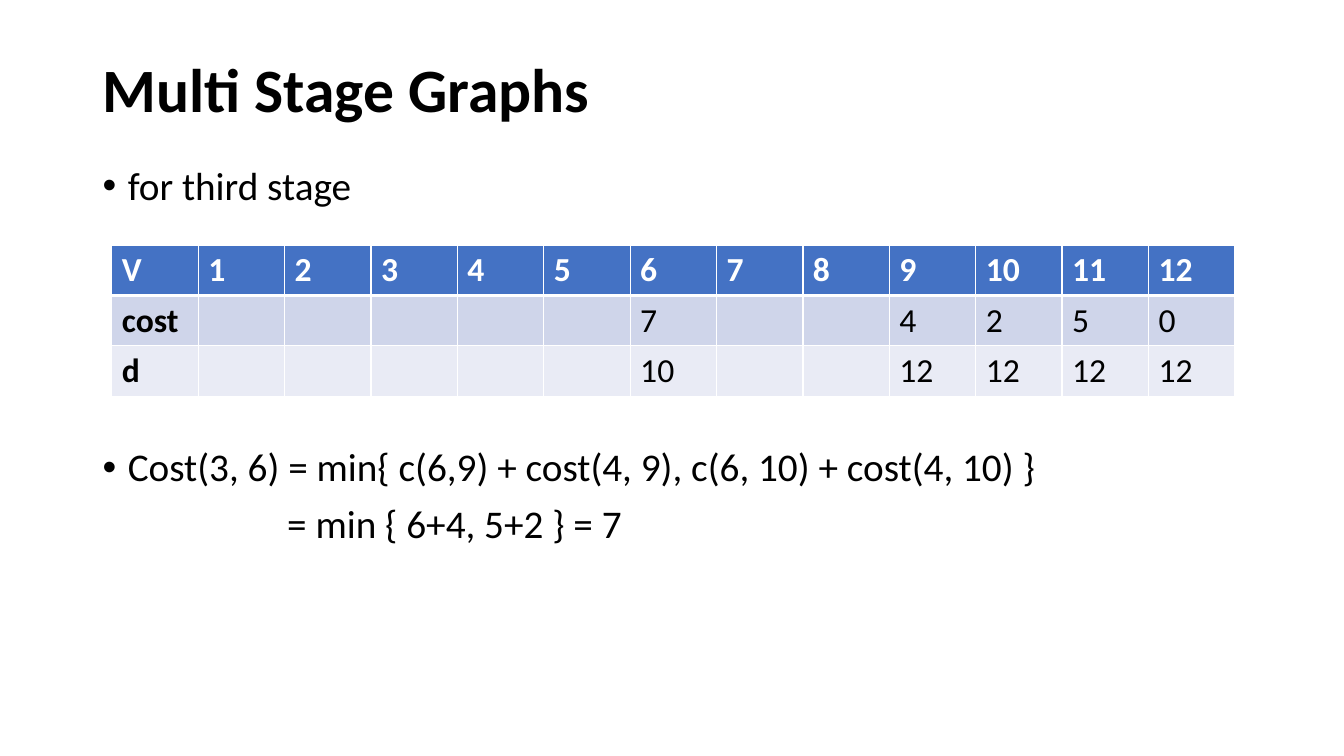
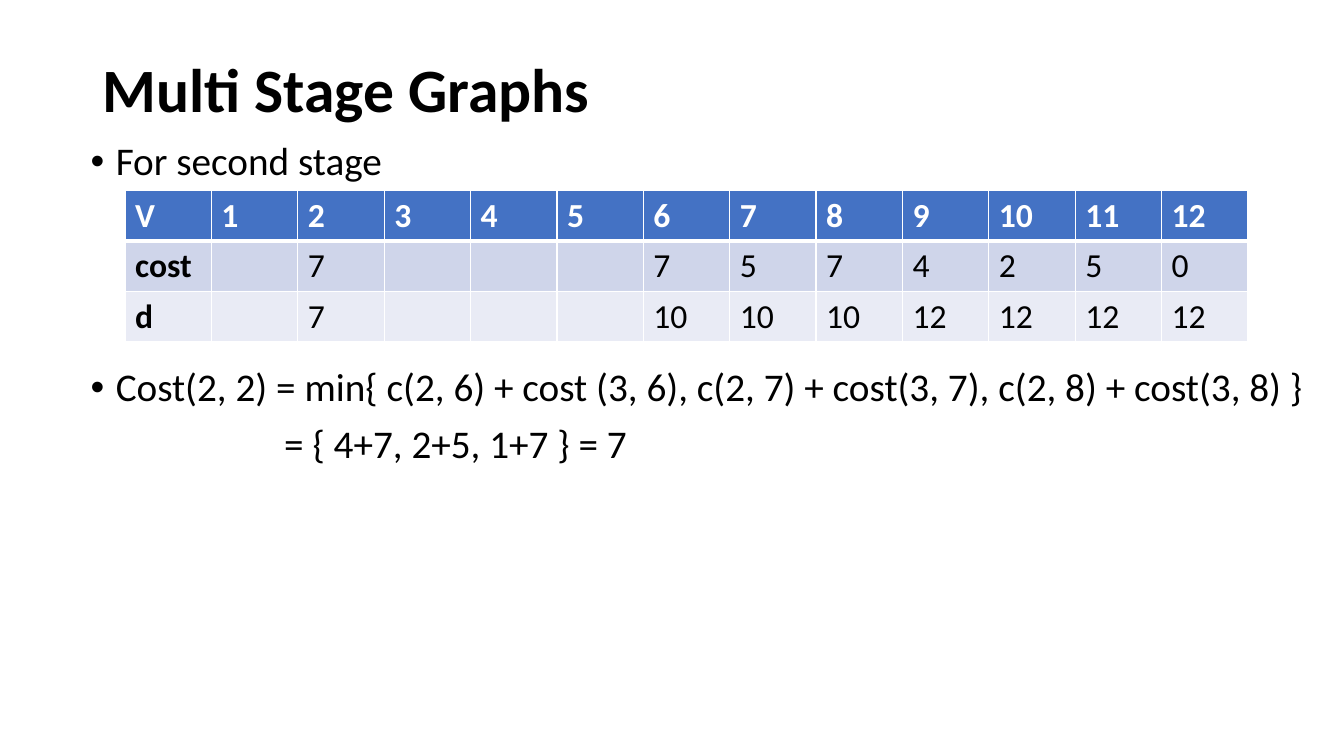
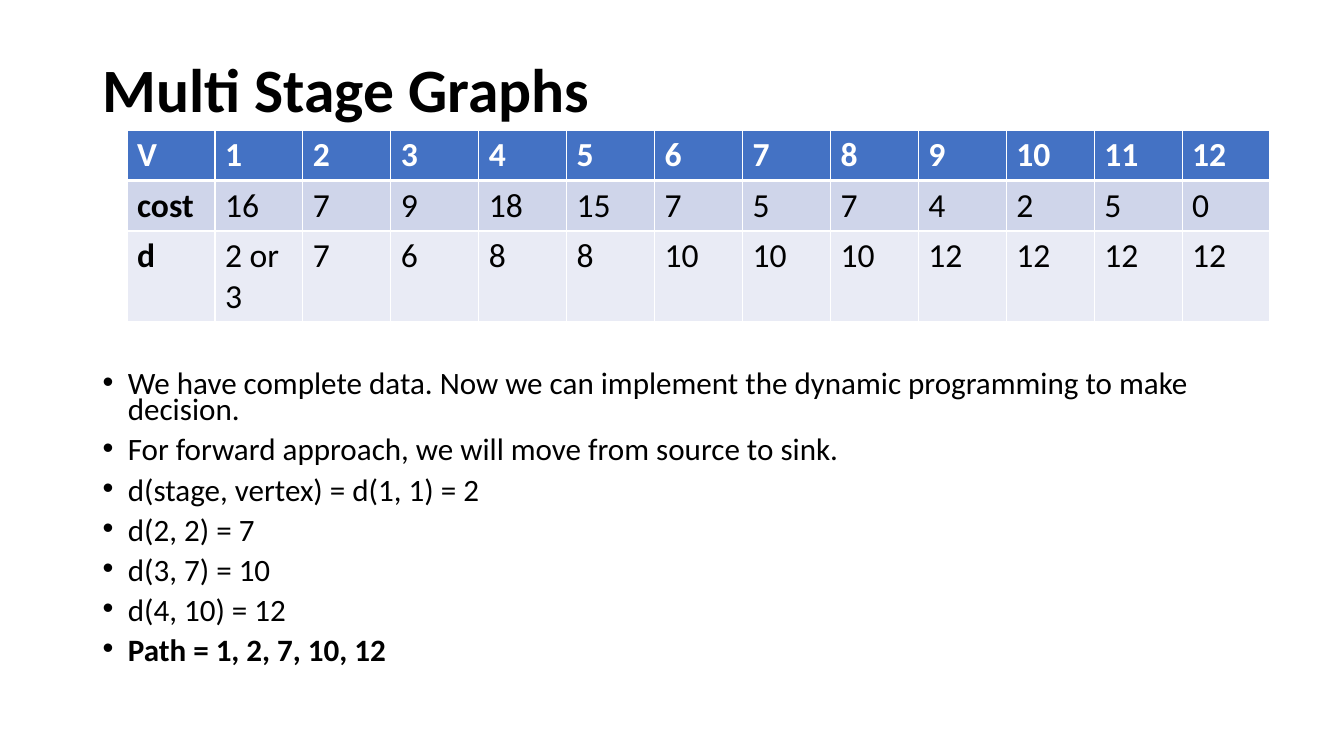
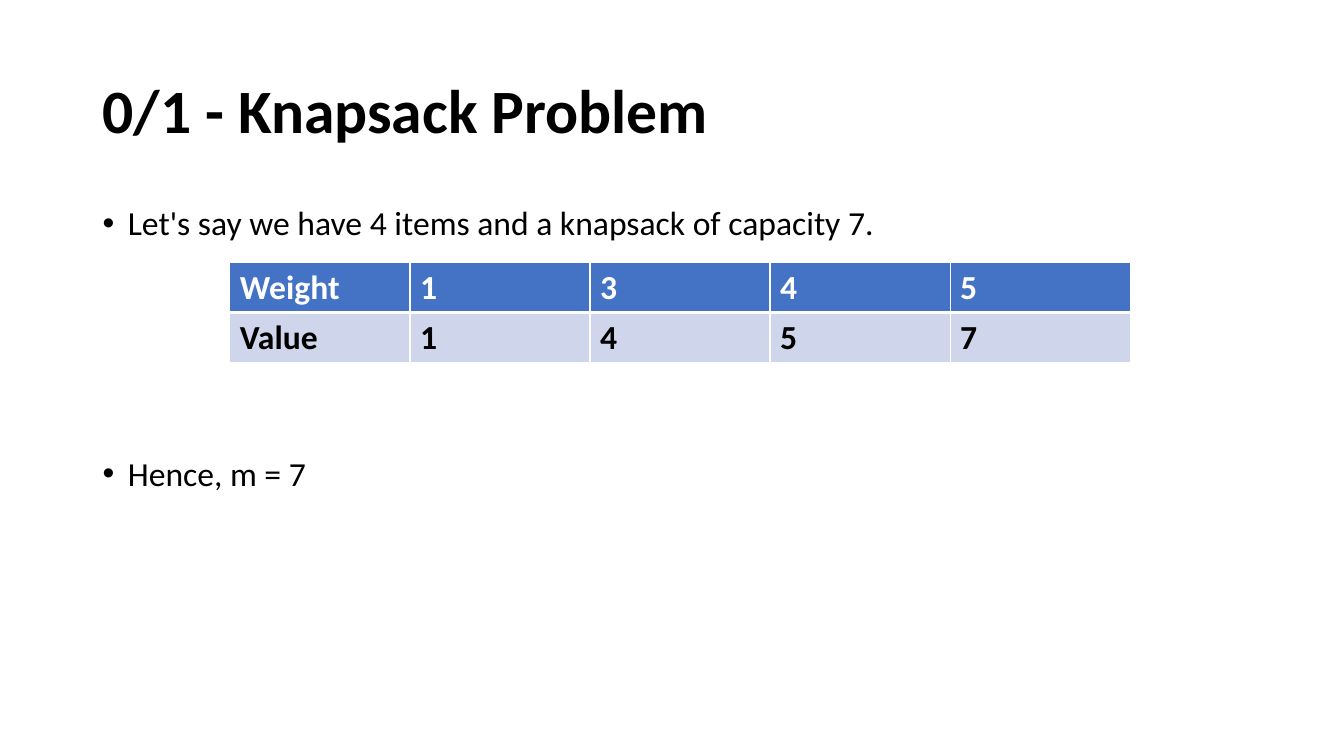
import lxml.etree
import pptx
import pptx.dml.color
import pptx.enum.text
import pptx.oxml.ns
import pptx.util

Inches = pptx.util.Inches
Pt = pptx.util.Pt
qn = pptx.oxml.ns.qn

FONT = "Calibri"
COLORS = {
    "text": "000000",
    "header_text": "FFFFFF",
    "header": "4472C4",
    "band_dark": "CFD5EA",
    "band_light": "E9EBF5",
    "border": "FFFFFF",
}
ROW_FILLS = ("header", "band_dark", "band_light")
BULLET_INDENT = 0.25
VERTICES = ["V"] + [str(number) for number in range(1, 13)]


def color(name):
    return pptx.dml.color.RGBColor.from_string(COLORS[name])


def style_font(para, size, bold=False, color_name="text"):
    para.font.name = FONT
    para.font.size = Pt(size)
    para.font.bold = bold
    para.font.color.rgb = color(color_name)


def add_text_box(page, left, top, width, height):
    box = page.shapes.add_textbox(Inches(left), Inches(top), Inches(width), Inches(height))
    box.text_frame.word_wrap = True
    return box.text_frame


def add_title(page, text, height=1.03):
    frame = add_text_box(page, 0.92, 0.4, 11.5, height)
    frame.vertical_anchor = pptx.enum.text.MSO_ANCHOR.MIDDLE
    para = frame.paragraphs[0]
    para.text = text
    para.line_spacing = 0.9
    style_font(para, 44, bold=True)


def set_indent(para, indent):
    """Indent a plain line, or hang a bullet when indent is None."""
    properties = para._p.get_or_add_pPr()
    if indent is not None:
        properties.set("marL", str(Inches(indent)))
        return
    properties.set("marL", str(Inches(BULLET_INDENT)))
    properties.set("indent", str(-Inches(BULLET_INDENT)))
    lxml.etree.SubElement(properties, qn("a:buFont")).set("typeface", "Arial")
    lxml.etree.SubElement(properties, qn("a:buChar")).set("char", "•")


def add_body(page, area, lines, size, spacing=0.9):
    """Each line is a dict: text, and optionally before, indent, bold."""
    frame = add_text_box(page, *area)
    for index, line in enumerate(lines):
        para = frame.add_paragraph() if index else frame.paragraphs[0]
        para.text = line["text"]
        set_indent(para, line.get("indent"))
        para.line_spacing = spacing
        if index:
            para.space_before = Pt(line.get("before", 10))
        style_font(para, size, bold=line.get("bold", False))


def set_borders(cell, top, bottom):
    properties = cell._tc.get_or_add_tcPr()
    for tag, width in (("a:lnL", 1), ("a:lnR", 1), ("a:lnT", top), ("a:lnB", bottom)):
        line = lxml.etree.SubElement(properties, qn(tag), w=str(Pt(width)))
        fill = lxml.etree.SubElement(line, qn("a:solidFill"))
        lxml.etree.SubElement(fill, qn("a:srgbClr"), val=COLORS["border"])


def add_grid(page, left, top, width, rows, heights, all_bold=False):
    columns = len(rows[0])
    table = page.shapes.add_table(
        len(rows), columns, Inches(left), Inches(top), Inches(width), Inches(sum(heights))
    ).table
    for column in table.columns:
        column.width = Inches(width / columns)
    for row_index, values in enumerate(rows):
        table.rows[row_index].height = Inches(heights[row_index])
        is_header = row_index == 0
        for column_index, value in enumerate(values):
            cell = table.cell(row_index, column_index)
            set_borders(cell, 3 if row_index == 1 else 1, 3 if is_header else 1)
            cell.fill.solid()
            cell.fill.fore_color.rgb = color(ROW_FILLS[row_index])
            cell.text = value
            style_font(
                cell.text_frame.paragraphs[0], 24,
                bold=all_bold or is_header or column_index == 0,
                color_name="header_text" if is_header else "text",
            )


def add_stage_grid(page, left, top, costs, decisions, width=11.14, last_height=0.5):
    """Cost table whose values, given by vertex, may be partly unknown."""
    rows = [VERTICES]
    for label, values in (("cost", costs), ("d", decisions)):
        rows.append([label] + [str(values.get(vertex, "")) for vertex in range(1, 13)])
    add_grid(page, left, top, width, rows, [0.5, 0.5, last_height])


def main():
    deck = pptx.Presentation()
    deck.slide_width = Inches(13.33)
    deck.slide_height = Inches(7.5)
    pages = [deck.slides.add_slide(deck.slide_layouts[6]) for _ in range(4)]

    # What is known after each stage
    last_costs = {9: 4, 10: 2, 11: 5, 12: 0}
    last_decisions = dict.fromkeys(last_costs, 12)
    second_costs = {2: 7, 6: 7, 7: 5, 8: 7, **last_costs}
    second_decisions = {2: 7, 6: 10, 7: 10, 8: 10, **last_decisions}

    # Third stage
    page = pages[0]
    add_title(page, "Multi Stage Graphs")
    add_body(page, (0.92, 1.6, 12.03, 5.78), [
        {"text": "for third stage"},
        {"text": "Cost(3, 6) = min{ c(6,9) + cost(4, 9), c(6, 10) + cost(4, 10) }", "before": 171},
        {"text": "= min { 6+4, 5+2 } = 7", "indent": 1.83},
    ], 28)
    add_stage_grid(page, 1.11, 2.43, {6: 7, **last_costs}, {6: 10, **last_decisions})

    # Second stage
    page = pages[1]
    add_title(page, "Multi Stage Graphs")
    add_body(page, (0.8, 1.36, 12.41, 6.02), [
        {"text": "For second stage"},
        {"text": "Cost(2, 2) = min{ c(2, 6) + cost (3, 6), c(2, 7) + cost(3, 7), c(2, 8) + cost(3, 8) }",
         "before": 131},
        {"text": "= { 4+7, 2+5, 1+7 } = 7", "indent": 1.92},
    ], 28)
    add_stage_grid(page, 1.24, 1.89, second_costs, second_decisions)

    # Complete table and path
    page = pages[2]
    add_title(page, "Multi Stage Graphs")
    add_body(page, (0.92, 3.66, 12.03, 3.72), [
        {"text": "We have complete data. Now we can implement the dynamic programming to make decision."},
        {"text": "For forward approach, we will move from source to sink."},
        {"text": "d(stage, vertex) = d(1, 1) = 2"},
        {"text": "d(2, 2) = 7"},
        {"text": "d(3, 7) = 10"},
        {"text": "d(4, 10) = 12"},
        {"text": "Path = 1, 2, 7, 10, 12", "bold": True},
    ], 22.2, spacing=0.7)
    add_stage_grid(
        page, 1.26, 1.29,
        {1: 16, 3: 9, 4: 18, 5: 15, **second_costs},
        {1: "2 or 3", 3: 6, 4: 8, 5: 8, **second_decisions},
        width=11.34, last_height=0.9,
    )

    # Knapsack
    page = pages[3]
    add_title(page, "0/1 - Knapsack Problem", height=1.45)
    add_body(page, (0.92, 2, 12.09, 5.31), [
        {"text": "Let's say we have 4 items and a knapsack of capacity 7."},
        {"text": "Hence, m = 7", "before": 153},
    ], 24)
    add_grid(page, 2.28, 2.6, 8.93, [
        ["Weight", "1", "3", "4", "5"],
        ["Value", "1", "4", "5", "7"],
    ], [0.5, 0.5], all_bold=True)

    deck.save("out.pptx")


if __name__ == "__main__":
    main()
